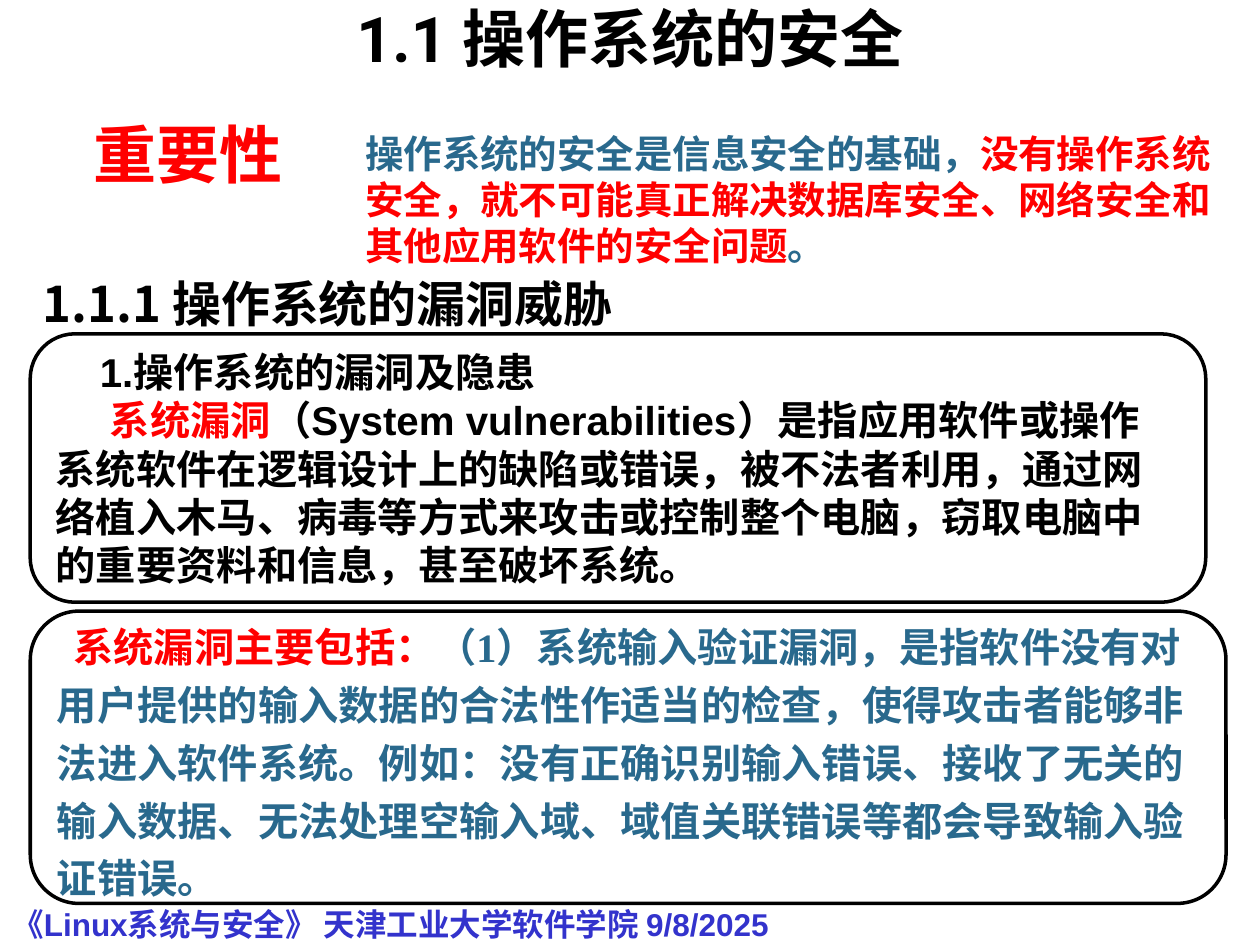
from pptx import Presentation
from pptx.dml.color import RGBColor
from pptx.enum.shapes import MSO_SHAPE as Shape
from pptx.enum.text import MSO_ANCHOR as Anchor, PP_ALIGN as Align
from pptx.util import Inches, Pt

BLACK, RED, TEAL, BLUE, WHITE = "000000", "FF0000", "29698D", "3333CC", "FFFFFF"
MARGIN = 0.24


def color(value):
    return RGBColor.from_string(value)


def write(paragraph, runs, font, size, indent=0, hanging=0):
    """Fill a paragraph with bold (text, colour) runs."""
    properties = paragraph._p.get_or_add_pPr()
    properties.set("marL", str(Inches(hanging)))
    properties.set("indent", str(Inches(indent - hanging)))
    for text, run_color in runs:
        run = paragraph.add_run()
        run.text = text
        run.font.name, run.font.size, run.font.bold = font, Pt(size), True
        run.font.color.rgb = color(run_color)


presentation = Presentation()
presentation.slide_width, presentation.slide_height = Inches(10), Inches(7.5)
slide = presentation.slides.add_slide(presentation.slide_layouts[5])

# Title
title = slide.shapes.title
title.left, title.top, title.width, title.height = map(Inches, (0, 0.05, 10, 0.58))
title.text_frame.vertical_anchor = Anchor.MIDDLE
paragraph = title.text_frame.paragraphs[0]
paragraph.alignment, paragraph.line_spacing = Align.CENTER, 0.87
write(paragraph, [("1.1 操作系统的安全", BLACK)], "Roboto", 36)

# Plain text: importance, its explanation, section heading, footer
texts = [
    ((0.59, 0.99, 1.81, 0.45), "Noto Sans CJK JP", 36, 0, [("重要性", RED)]),
    ((2.8, 0.98, 7.09, 1.21), "Arial", 22, 0, [
        ("操作系统的安全是信息安全的基础，", TEAL),
        ("没有操作系统安全，就不可能真正解决数据库安全、网络安全和其他应用软件的安全问题", RED),
        ("。", TEAL)]),
    ((MARGIN, 2.12, 6.42, 0.46), "Noto Sans CJK SC", 28, 0.38,
     [("1.1.1 操作系统的漏洞威胁", BLACK)]),
    ((0, 7.13, 10, 0.37), "Arial", 18, 0,
     [("《Linux系统与安全》 天津工业大学软件学院 9/8/2025", BLUE)]),
]
for place, font, size, hanging, runs in texts:
    box = slide.shapes.add_textbox(*map(Inches, place))
    box.text_frame.word_wrap = True
    write(box.text_frame.paragraphs[0], runs, font, size, hanging=hanging)
    if runs[0][0] == "重要性":
        box.text_frame.word_wrap = False
        box.text_frame.vertical_anchor = Anchor.MIDDLE
        box.text_frame.paragraphs[0].alignment = Align.CENTER

# Rounded panels: each paragraph is (first-line indent, runs)
panels = [
    (2.65, 9.33, 2.13, "Arial", 1.0, [
        (0.35, [("1.操作系统的漏洞及隐患", BLACK)]),
        (0.43, [
            ("系统漏洞", RED),
            ("（System vulnerabilities）是指应用软件或操作系统软件在逻辑设计上的缺陷或错误，"
             "被不法者利用，通过网络植入木马、病毒等方式来攻击或控制整个电脑，"
             "窃取电脑中的重要资料和信息，甚至破坏系统。", BLACK)])]),
    (4.85, 9.49, 2.32, "Times New Roman", 1.2, [
        (0.13, [
            ("系统漏洞主要包括：", RED),
            ("（1）系统输入验证漏洞，是指软件没有对用户提供的输入数据的合法性作适当的检查，"
             "使得攻击者能够非法进入软件系统。例如：没有正确识别输入错误、接收了无关的输入数据、"
             "无法处理空输入域、域值关联错误等都会导致输入验证错误。", TEAL)])]),
]
for top, width, height, font, spacing, paragraphs in panels:
    panel = slide.shapes.add_shape(
        Shape.ROUNDED_RECTANGLE, *map(Inches, (MARGIN, top, width, height)))
    panel.shadow.inherit = False
    panel.fill.solid()
    panel.fill.fore_color.rgb = color(WHITE)
    panel.line.color.rgb = color(BLACK)
    panel.line.width = Pt(2)
    frame = panel.text_frame
    frame.word_wrap, frame.vertical_anchor = True, Anchor.MIDDLE
    for index, (indent, runs) in enumerate(paragraphs):
        paragraph = frame.add_paragraph() if index else frame.paragraphs[0]
        paragraph.alignment, paragraph.line_spacing = Align.LEFT, spacing
        write(paragraph, runs, font, 23, indent)

presentation.save("out.pptx")
